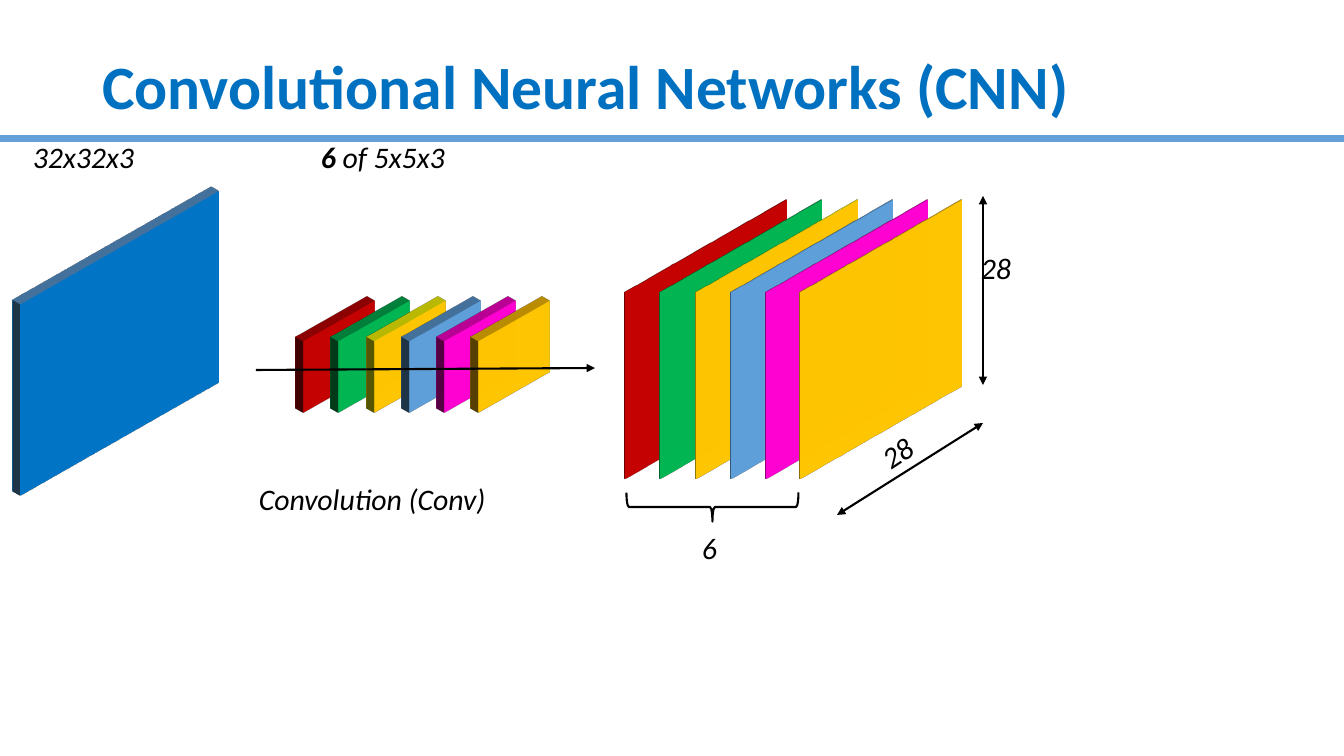
"""Build a slide showing six convolution filters and their feature maps."""
import pptx
import pptx.util
import pptx.dml.color
import pptx.enum.shapes
import pptx.enum.text
import pptx.oxml
import pptx.oxml.ns
import lxml.etree

PX = 12192000 / 1344
THEME = {
    "font": "Calibri", "title": "0070C0", "rule": "63A0D7", "ink": "000000",
    "paper": "FFFFFF", "input": ("0070C0", "5B9BD5"),
    "maps": [("C00000", "C00000"), ("00B050", "00B050"), ("FFC000", "FFFF00"),
             ("5B9BD5", "5B9BD5"), ("FF00CC", "FF00CC"), ("FFC000", "FFC000")],
    "head_size": 44, "label_size": 21.3,
}
SPACE = pptx.oxml.ns.nsdecls("a")
SCENE = (f'<a:scene3d {SPACE}><a:camera prst="isometricRightUp"/>'
         '<a:lightRig rig="threePt" dir="t"/></a:scene3d>')
rgb = pptx.dml.color.RGBColor.from_string

deck = pptx.Presentation()
deck.slide_width, deck.slide_height = round(1344 * PX), round(756 * PX)
slide = deck.slides.add_slide(deck.slide_layouts[5])
shapes = slide.shapes


def place(*lengths):
    """Turn px lengths into EMU."""
    return [round(length * PX) for length in lengths]


def style(frame, size, color):
    """Format every run in a text frame."""
    for run in frame.paragraphs[0].runs:
        run.font.name = THEME["font"]
        run.font.size = pptx.util.Pt(size)
        run.font.color.rgb = rgb(color)


title = shapes.title
title.left, title.top, title.width, title.height = place(92, 40, 1159, 99)
frame = title.text_frame
frame.text = "Convolutional Neural Networks (CNN)"
frame.vertical_anchor = pptx.enum.text.MSO_ANCHOR.MIDDLE
frame.paragraphs[0].alignment = pptx.enum.text.PP_ALIGN.LEFT
frame.paragraphs[0].line_spacing = 0.9
style(frame, THEME["head_size"], THEME["title"])
frame.paragraphs[0].runs[0].font.bold = True

starts = [0, 35, 71, 106, 141, 175]
slabs = [((-20, 227, 279, 233), 8, THEME["input"])]
for left, top, width, height, deep in [(289, 313, 100, 87, 8), (592, 226, 228, 227, 1)]:
    slabs += [((left + start, top, width, height), deep, pair)
              for start, pair in zip(starts, THEME["maps"])]
for bounds, deep, (face, edge) in slabs:
    slab = shapes.add_shape(pptx.enum.shapes.MSO_SHAPE.RECTANGLE, *place(*bounds))
    slab.shadow.inherit = False
    slab.fill.solid()
    slab.fill.fore_color.rgb = rgb(face)
    slab.line.color.rgb = rgb(edge)
    slab.line.width = pptx.util.Pt(1)
    depth = f'<a:sp3d {SPACE} extrusionH="{pptx.util.Pt(deep)}"/>'
    for part in (SCENE, depth):
        slab.element.spPr.append(pptx.oxml.parse_xml(part))

brace = shapes.add_shape(pptx.enum.shapes.MSO_SHAPE.LEFT_BRACE,
                         *place(698, 421, 29, 172))
brace.rotation = 270
brace.shadow.inherit = False
brace.fill.solid()
brace.fill.fore_color.rgb = rgb(THEME["paper"])
brace.line.color.rgb = rgb(THEME["ink"])
brace.line.width = pptx.util.Pt(1.5)

lines = [
    ((1344, 139, 0, 139), THEME["rule"], 5, ()),
    ((256, 370, 595, 368), THEME["ink"], 1.5, ("tailEnd",)),
    ((837, 515, 983, 423), THEME["ink"], 1.5, ("headEnd", "tailEnd")),
    ((983, 385, 983, 196), THEME["ink"], 1.5, ("headEnd", "tailEnd")),
]
for ends, color, weight, heads in lines:
    line = shapes.add_connector(pptx.enum.shapes.MSO_CONNECTOR.STRAIGHT, *place(*ends))
    line.line.color.rgb = rgb(color)
    line.line.width = pptx.util.Pt(weight)
    stroke = line.line._get_or_add_ln()
    for head in heads:
        lxml.etree.SubElement(stroke, pptx.oxml.ns.qn("a:" + head), type="triangle")
    lxml.etree.SubElement(stroke.getparent(), pptx.oxml.ns.qn("a:effectLst"))

labels = [
    ((692, 525, 44, 43), 0, ["6"]),
    ((871, 429, 52, 43), 326.6, ["28"]),
    ((971, 245, 52, 43), 0, ["28"]),
    ((23, 134, 134, 43), 0, ["32x32x3"]),
    ((311, 134, 150, 43), 0, ["6", " of 5x5x3"]),
    ((249, 476, 294, 43), 0, ["Convolution (Conv)"]),
]
for bounds, turn, parts in labels:
    box = shapes.add_textbox(*place(*bounds))
    box.rotation = turn
    frame = box.text_frame
    frame.word_wrap = True
    for part in parts:
        run = frame.paragraphs[0].add_run()
        run.text = part
        run.font.italic = True
    frame.paragraphs[0].runs[0].font.bold = len(parts) > 1
    style(frame, THEME["label_size"], THEME["ink"])

deck.save("out.pptx")
